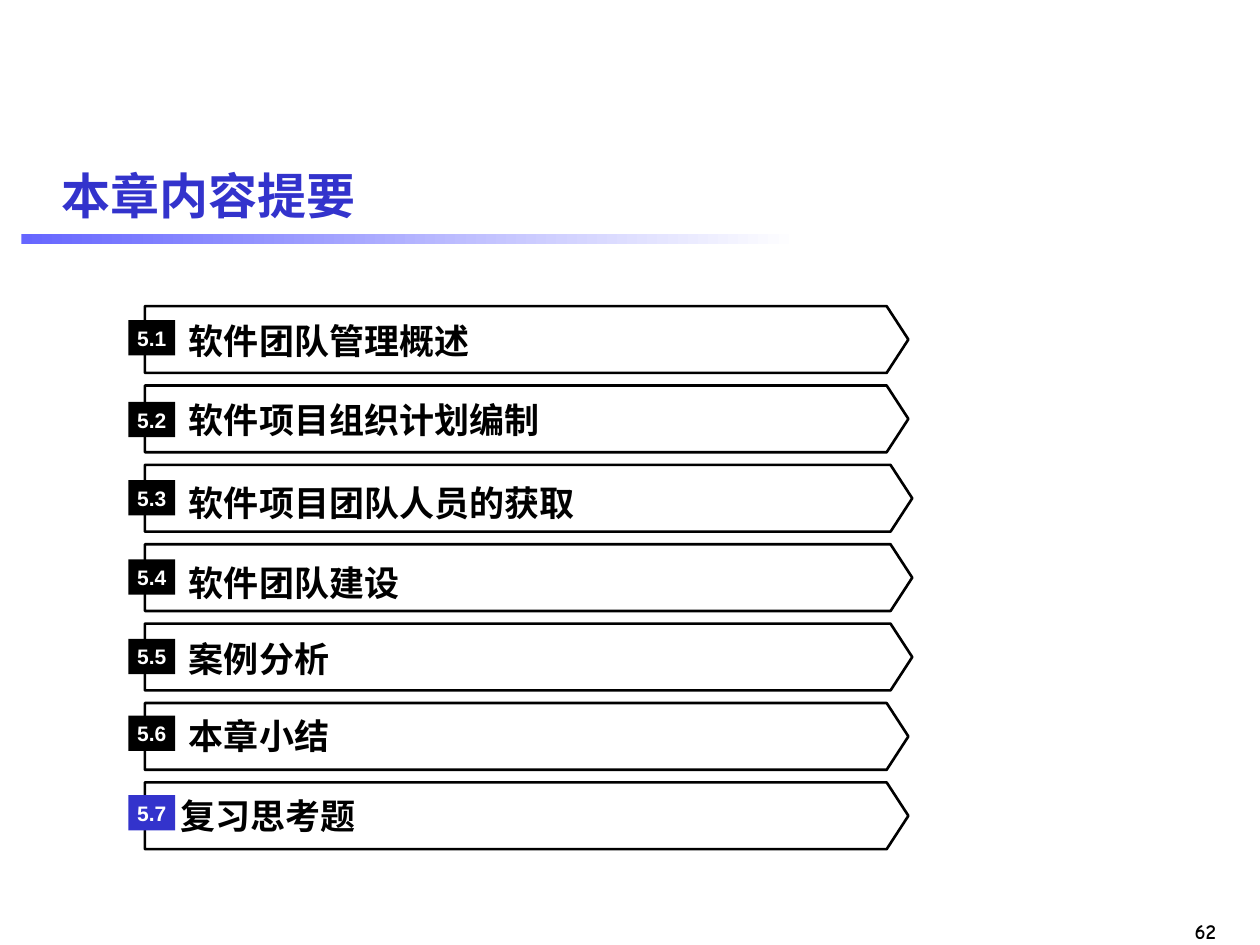
from pptx import Presentation
from pptx.dml.color import RGBColor as Rgb
from pptx.enum.shapes import MSO_SHAPE as Kind
from pptx.enum.text import MSO_ANCHOR as Anchor, PP_ALIGN as Align
from pptx.util import Inches, Pt

COLORS = {"black": "000000", "white": "FFFFFF", "blue": "3333CC", "light": "6666FF"}

# number, label, arrow width, label drop, badge drop, badge color
ROWS = [
    ("5.1", "软件团队管理概述", 6.06, 0.07, 0.11, "black"),
    ("5.2", "软件项目组织计划编制", 6.06, 0.07, 0.13, "black"),
    ("5.3", "软件项目团队人员的获取", 6.09, 0.1, 0.12, "black"),
    ("5.4", "软件团队建设", 6.09, 0.1, 0.12, "black"),
    ("5.5", "案例分析", 6.09, 0.08, 0.12, "black"),
    ("5.6", "本章小结", 6.06, 0.06, 0.1, "black"),
    ("5.7", "复习思考题", 6.06, 0.06, 0.1, "blue"),
]
TOP, STEP = 2.43, 0.63


def color(name):
    return Rgb.from_string(COLORS[name])


class Deck:
    def __init__(self):
        self.prs = Presentation()
        self.prs.slide_width, self.prs.slide_height = Inches(10), Inches(7.5)
        self.slide = self.prs.slides.add_slide(self.prs.slide_layouts[6])

    def label(self, shape, text, size, font, tint, align=Align.LEFT, inset=None):
        """Put bold text in a shape; inset is the left margin, others then being zero."""
        frame = shape.text_frame
        frame.text = text
        frame.word_wrap = True
        frame.vertical_anchor = Anchor.MIDDLE
        if inset is not None:
            frame.margin_left = Inches(inset)
            frame.margin_right = frame.margin_top = frame.margin_bottom = 0
        line = frame.paragraphs[0]
        line.alignment = align
        face = line.runs[0].font
        face.size, face.name, face.bold = Pt(size), font, True
        face.color.rgb = color(tint)

    def text(self, box, *style, **more):
        shape = self.slide.shapes.add_textbox(*map(Inches, box))
        self.label(shape, *style, **more)

    def shape(self, kind, box):
        shape = self.slide.shapes.add_shape(kind, *map(Inches, box))
        shape.shadow.inherit = False
        shape.line.fill.background()
        return shape

    def fade(self, box):
        fill = self.shape(Kind.RECTANGLE, box).fill
        fill.gradient()
        fill.gradient_angle = 0
        for stop, name, place in zip(fill.gradient_stops, ("light", "white"), (0, 1)):
            stop.color.rgb = color(name)
            stop.position = place

    def arrow(self, box):
        shape = self.shape(Kind.PENTAGON, box)
        shape.adjustments[0] = 0.325
        shape.fill.background()
        shape.line.color.rgb = color("black")
        shape.line.width = Pt(1.5)

    def badge(self, box, text, tint):
        shape = self.shape(Kind.RECTANGLE, box)
        shape.fill.solid()
        shape.fill.fore_color.rgb = color(tint)
        self.label(shape, text, 12, "Arial", "white", Align.CENTER, inset=0)


def main():
    deck = Deck()
    deck.text((9.2, 7.24, 0.55, 0.3), "62", 12, "Comic Neue", "black", Align.RIGHT)
    deck.fade((0.17, 1.86, 6.17, 0.08))
    deck.text((0.39, 1.15, 9.61, 0.79), "本章内容提要", 28, "Arial", "blue")
    for i, (num, name, width, drop, dip, tint) in enumerate(ROWS):
        top = TOP + i * STEP
        deck.arrow((1.15, top, width, 0.53))
        inset = 0 if tint == "blue" else 0.07
        deck.text((1.43, top + drop, 5.4, 0.4), name, 20, "Times New Roman", "black",
                  inset=inset)
        deck.badge((1.02, top + dip, 0.37, 0.28), num, tint)
    deck.prs.save("out.pptx")


if __name__ == "__main__":
    main()
